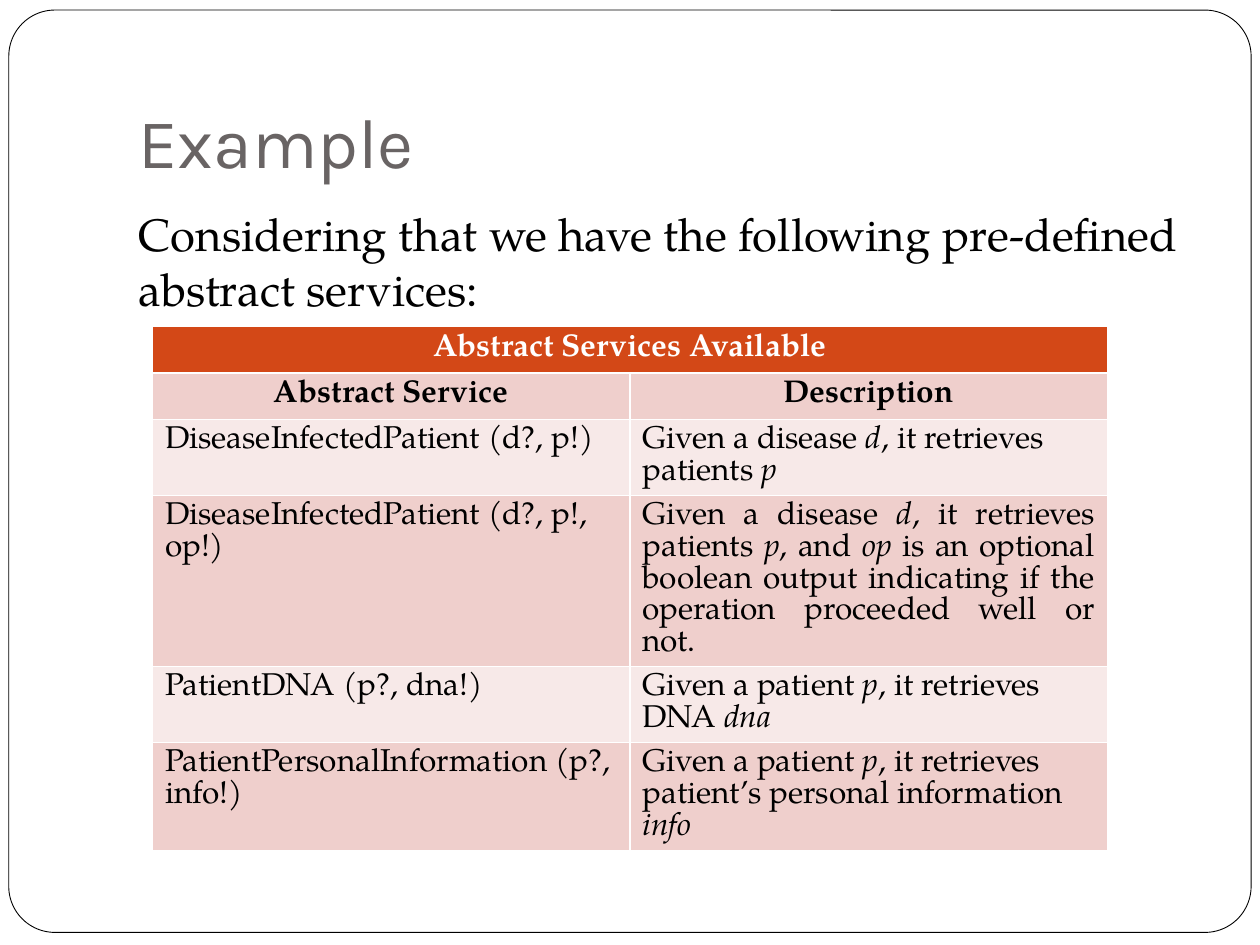
from pptx import Presentation
from pptx.dml.color import RGBColor
from pptx.enum.shapes import MSO_SHAPE
from pptx.enum.text import MSO_ANCHOR, MSO_AUTO_SIZE, PP_ALIGN
from pptx.oxml.ns import qn
from pptx.util import Inches, Pt

ROUND = MSO_SHAPE.ROUNDED_RECTANGLE
LEFT, MID, JUST = PP_ALIGN.LEFT, PP_ALIGN.CENTER, PP_ALIGN.JUSTIFY
SERIF, SANS = "TeX Gyre Pagella", "Karla"
HUES = {"white": "FFFFFF", "black": "000000", "gray": "696464",
        "head": "D34817", "dark": "EFCFCC", "light": "F7E9E8"}


def hue(name):
    return RGBColor.from_string(HUES[name])


def style(para, face, size, color, align=LEFT):
    para.font.name, para.font.size = face, Pt(size)
    para.font.color.rgb = hue(color)
    para.alignment = align


deck = Presentation()
deck.slide_width, deck.slide_height = Inches(10), Inches(7.5)
slide = deck.slides.add_slide(deck.slide_layouts[1])
shapes = slide.shapes

# Rounded frame behind everything
frame = shapes.add_shape(ROUND, Inches(0.07), Inches(0.08),
                         Inches(9.86), Inches(7.32))
frame.adjustments[0] = 0.05
frame.shadow.inherit = False
frame.fill.solid()
frame.fill.fore_color.rgb = hue("white")
frame.line.color.rgb = hue("black")
frame.line.width = Pt(0.5)
shapes._spTree.insert(2, frame._element)

# Title and lead sentence
title, body = shapes.title, slide.placeholders[1]
lead = "Considering that we have the following pre-defined abstract services:"
for box, text, top, high, face, size, color, anchor in (
        (title, "Example", 0.3, 1.25, SANS, 40, "gray", MSO_ANCHOR.BOTTOM),
        (body, lead, 1.58, 5, SERIF, 26, "black", MSO_ANCHOR.TOP)):
    box.left, box.top = Inches(1), Inches(top)
    box.width, box.height = Inches(8.5), Inches(high)
    frame = box.text_frame
    frame.text = text
    frame.auto_size = MSO_AUTO_SIZE.NONE
    frame.vertical_anchor = anchor
    style(frame.paragraphs[0], face, size, color)
title.text_frame.margin_bottom = Inches(0.1)
para = body.text_frame.paragraphs[0]
para.space_before, para.line_spacing = Pt(5.8), Pt(31.4)
props = para._p.get_or_add_pPr()
props.set("marL", "0")
props.set("indent", "0")
props.append(props.makeelement(qn("a:buNone"), {}))

# Table of services; asterisks enclose italics
rows = [
    ("Abstract Services Available", ""),
    ("Abstract Service", "Description"),
    ("DiseaseInfectedPatient (d?, p!)",
     "Given a disease *d*, it retrieves patients *p*"),
    ("DiseaseInfectedPatient (d?, p!, op!)",
     "Given a disease *d*, it retrieves patients *p*, and *op *is an optional "
     "boolean output indicating if the operation proceeded well or not."),
    ("PatientDNA (p?, dna!)",
     "Given a patient *p*, it retrieves DNA *dna*"),
    ("PatientPersonalInformation (p?, info!)",
     "Given a patient *p*, it retrieves patient’s personal information *info*"),
]
highs = [0.37] * 4 + [0.48] * 2
grid = shapes.add_table(len(rows), 2, Inches(1.21), Inches(2.59),
                        Inches(7.58), Inches(sum(highs))).table
grid.cell(0, 0).merge(grid.cell(0, 1))
for r, (row, high) in enumerate(zip(rows, highs)):
    grid.rows[r].height = Inches(high)
    fill = "head" if r == 0 else "dark" if r % 2 else "light"
    for c, text in enumerate(row):
        cell = grid.cell(r, c)
        cell.fill.solid()
        cell.fill.fore_color.rgb = hue(fill)
        if not text:
            continue
        para = cell.text_frame.paragraphs[0]
        align = MID if r < 2 else JUST if (r, c) == (3, 1) else LEFT
        style(para, SERIF, 18, "black" if r else "white", align)
        para.font.bold = r < 2
        para.line_spacing = Pt(18.1)
        for i, part in enumerate(text.split("*")):
            if part:
                run = para.add_run()
                run.text = part
                if i % 2:
                    run.font.italic = True

deck.save("out.pptx")
